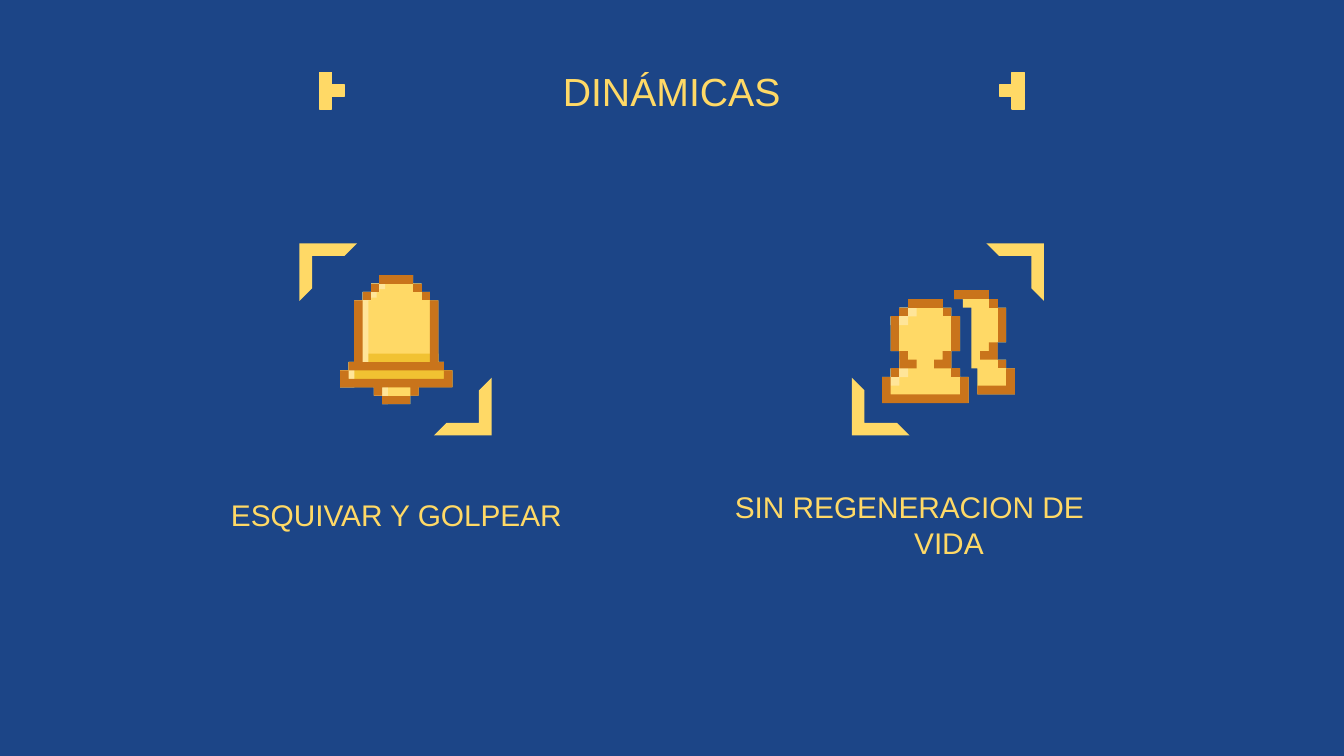
"""Build the "Dinámicas" slide with two pixel-art icons."""
from dataclasses import dataclass

from pptx import Presentation
from pptx.dml.color import RGBColor
from pptx.enum.shapes import MSO_SHAPE
from pptx.enum.text import MSO_ANCHOR, PP_ALIGN
from pptx.util import Cm, Pt

HALF_FRAME = MSO_SHAPE.HALF_FRAME
BOTTOM = MSO_ANCHOR.BOTTOM
LEFT, CENTER = PP_ALIGN.LEFT, PP_ALIGN.CENTER


@dataclass(frozen=True)
class Theme:
    """Colours, font and type sizes."""
    navy: str = "1C4587"
    yellow: str = "FFD966"
    amber: str = "F1C232"
    cream: str = "FFE599"
    brown: str = "C9741B"
    font: str = "Arial"
    title: int = 21
    label: int = 16


THEME = Theme()

BELL = [
    (THEME.yellow, [
        (14, 0, 3, 11, 6, 8, 9, 5, 31, 3, 34, 0, 40, 12, 43, 15, 46, 25, 43,
         28, 40, 40, 34, 37, 31, 35, 9, 32, 6, 29, 3, 26, 0)]),
    (THEME.amber, [(5, 28, 31, 3, 34, 0, 40, 40, 34, 37, 31, 35, 28)]),
    (THEME.cream, [
        (14, 2, 3, 11, 6, 8, 9, 5, 31, 10, 9, 11, 8, 13, 6, 14, 5, 16, 2),
        (3, 31, 34, 0, 40, 5, 31),
        (12, 39, 43, 15, 46, 17, 39)]),
    (THEME.brown, [
        (8, 6, 9, 11, 6),
        (11, 3, 6, 14, 3),
        (5, 9, 31, 3, 34, 37, 31, 35, 9, 32, 31, 8, 9),
        (15, 43, 46, 25, 43),
        (14, 0, 3, 26, 0),
        (29, 6, 9, 32, 6),
        (26, 3, 6, 29, 3),
        (0, 34, 40, 12, 43, 15, 40, 25, 43, 28, 40, 40, 34, 37, 37, 3, 34)]),
]

PEOPLE = [
    (THEME.yellow, [
        (9, 3, 6, 6, 9, 3, 21, 6, 27, 3, 30, 0, 39, 30, 30, 27, 27, 24, 21,
         27, 9, 24, 6, 21, 3)]),
    (THEME.cream, [
        (9, 3, 6, 6, 9, 3, 12, 9, 9, 12, 3),
        (6, 24, 27, 3, 30, 0, 33, 6, 30, 9, 24)]),
    (THEME.yellow, [
        (25, 0, 3, 28, 6, 31, 27, 33, 36, 46, 27, 43, 24, 40, 18, 43, 6,
         40, 3, 37, 0)]),
    (THEME.brown, [
        (3, 9, 21, 6, 9),
        (24, 9, 21, 27, 9),
        (9, 3, 6, 21, 3),
        (6, 6, 9, 9, 6),
        (21, 6, 9, 24, 6),
        (21, 21, 24, 18, 27, 24, 21),
        (3, 27, 30, 6, 27),
        (24, 27, 30, 27, 27),
        (0, 30, 39, 30, 30, 27, 36, 3, 30),
        (6, 21, 27, 12, 24, 9, 21),
        (40, 6, 18, 43, 6),
        (25, 0, 3, 37, 0),
        (37, 3, 6, 40, 3),
        (37, 18, 21, 34, 24, 40, 18),
        (40, 24, 27, 43, 24),
        (43, 27, 33, 33, 36, 46, 27)]),
]


def rgb(color):
    """Turn a hex string into a colour."""
    return RGBColor.from_string(color)


def paint(sp, color, line=None):
    """Give a shape a flat fill and an optional line of the same colour."""
    sp.shadow.inherit = False
    sp.fill.solid()
    sp.fill.fore_color.rgb = rgb(color)
    if line:
        sp.line.color.rgb = rgb(color)
        sp.line.width = Pt(line)
    else:
        sp.line.fill.background()


def add_text(slide, text, x, y, w, h, size=THEME.label, aligns=(CENTER,)):
    """Add bottom-anchored text with one alignment per line."""
    tf = slide.shapes.add_textbox(Cm(x), Cm(y), Cm(w), Cm(h)).text_frame
    tf.word_wrap = True
    tf.vertical_anchor = BOTTOM
    tf.margin_left = tf.margin_right = Cm(0.25)
    tf.margin_top = tf.margin_bottom = Cm(0.25)
    tf.text = text
    for p, align in zip(tf.paragraphs, aligns):
        p.alignment = align
        f = p.runs[0].font
        f.name, f.size, f.color.rgb = THEME.font, Pt(size), rgb(THEME.yellow)


def stair_points(x, y, *moves):
    """Trace a right-angled outline from alternating new y and new x values."""
    points = [(x, y)]
    for i, value in enumerate(moves):
        x, y = (value, y) if i % 2 else (x, value)
        points.append((x, y))
    return points


def add_pixel_art(slide, layers, x, y, pixel, line=None):
    """Draw coloured layers of right-angled outlines as one group."""
    group = slide.shapes.add_group_shape()
    for color, outlines in layers:
        for outline in outlines:
            start, *rest = stair_points(*outline)
            fb = group.shapes.build_freeform(*start, scale=pixel)
            fb.add_line_segments(rest, close=True)
            paint(fb.convert_to_shape(Cm(x), Cm(y)), color, line)


def add_title_mark(slide, x, y, spine, tip):
    """Draw a T-shaped mark from four squares."""
    cells = [(spine, 0), (spine, 1), (spine, 2), (tip, 1)]
    squares = [(col, row, row + 1, col + 1, row) for col, row in cells]
    add_pixel_art(slide, [(THEME.yellow, squares)], x, y, Cm(0.23), line=0.75)


def add_corner(slide, x, y, rotation):
    """Add one corner of an icon frame."""
    sp = slide.shapes.add_shape(HALF_FRAME, Cm(x), Cm(y), Cm(1.09), Cm(1.09))
    sp.adjustments[0] = sp.adjustments[1] = 0.22
    sp.rotation = rotation
    paint(sp, THEME.yellow)


def main():
    """Build and save the slide."""
    prs = Presentation()
    prs.slide_width, prs.slide_height = Cm(25.4), Cm(14.29)
    slide = prs.slides.add_slide(prs.slide_layouts[6])
    slide.background.fill.solid()
    slide.background.fill.fore_color.rgb = rgb(THEME.navy)

    add_text(slide, "DINÁMICAS", 0.86, 0.81, 23.67, 1.6, size=THEME.title)
    add_text(slide, "ESQUIVAR Y GOLPEAR", 3.2, 9.22, 8.59, 1.09)
    add_text(slide, "SIN REGENERACION DE\nVIDA", 13.64, 9.75, 8.59, 1.09,
             aligns=(LEFT, CENTER))

    add_title_mark(slide, 6.04, 1.37, spine=0, tip=1)
    add_title_mark(slide, 18.9, 1.37, spine=1, tip=0)

    add_pixel_art(slide, BELL, 6.43, 5.2, Cm(2.12) / 40)
    add_pixel_art(slide, PEOPLE, 16.67, 5.49, Cm(2.51) / 46)

    for x, y, rotation in [(5.66, 4.6, 0), (8.2, 7.14, 180),
                           (18.64, 4.6, 90), (16.1, 7.14, 270)]:
        add_corner(slide, x, y, rotation)
    prs.save("out.pptx")


if __name__ == "__main__":
    main()
